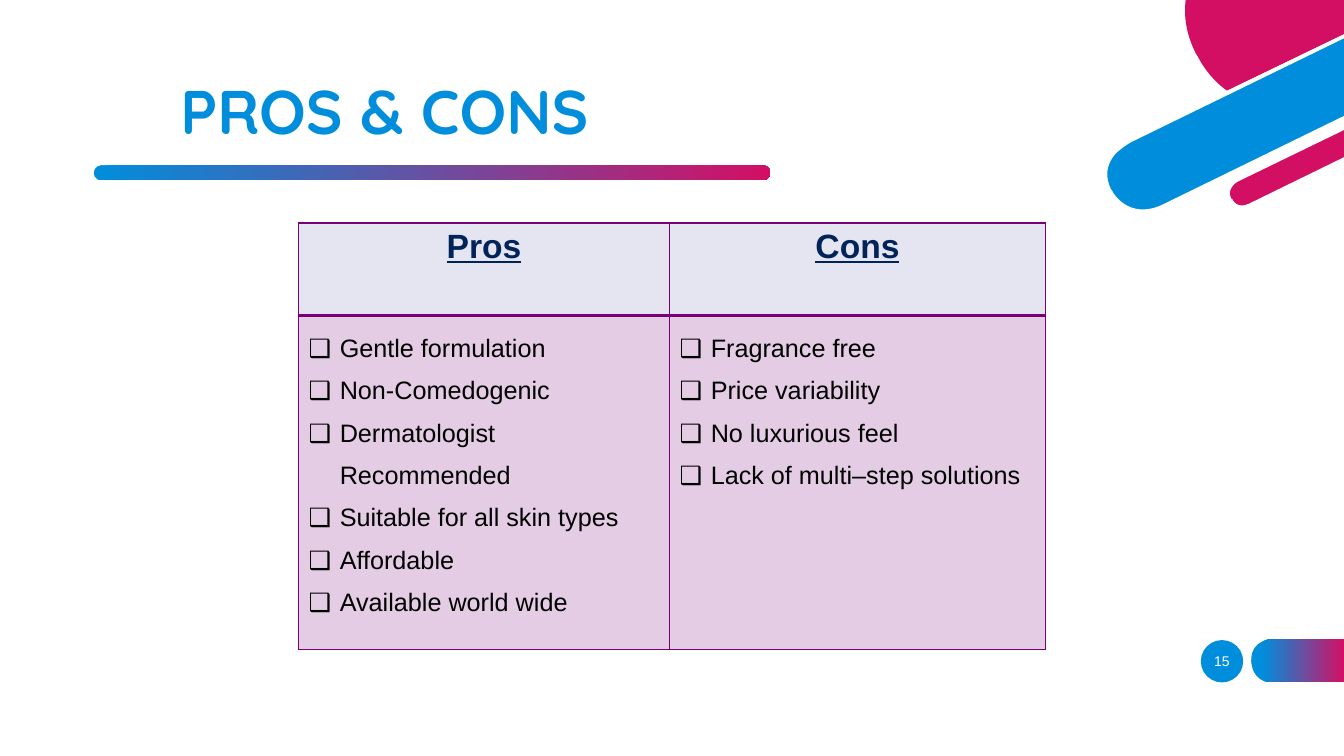
from dataclasses import dataclass
from typing import Optional

from lxml import etree
from pptx import Presentation
from pptx import util as u
from pptx.dml.color import RGBColor
from pptx.enum import shapes as kinds, text as t
from pptx.oxml import ns

# The slide is a grid of 1333 columns by 750 rows, one hundredth of an inch each
COLUMNS, ROWS = 1333, 750
CELL = u.Inches(0.01)


@dataclass(frozen=True)
class Theme:
    blue: str = "008EDC"
    pink: str = "D30F64"
    white: str = "FFFFFF"
    black: str = "000000"
    navy: str = "00245A"
    purple: str = "7A0078"
    header_fill: str = "E5E4F1"
    body_alpha: int = 20
    title_font: str = "Quicksand"
    body_font: str = "Arial"
    title_size: int = 44
    header_size: int = 24
    body_size: int = 18
    page_size: int = 10


THEME = Theme()


@dataclass(frozen=True)
class Area:
    column: float
    row: float
    columns: float
    rows: float

    def emu(self) -> list[int]:
        return [round(n * CELL) for n in (self.column, self.row, self.columns, self.rows)]


@dataclass(frozen=True)
class Outline:
    """Grid points: M starts, L draws lines, C draws Bezier curves."""
    route: str
    color: Optional[str] = None  # None means the blue to pink gradient
    gradient_start: float = 0


@dataclass(frozen=True)
class Style:
    font: str
    size: int
    color: Optional[str]
    bold: bool = False
    underline: bool = False
    align: t.PP_ALIGN = t.PP_ALIGN.LEFT
    spacing: float = 1.0
    bullet: str = ""


@dataclass(frozen=True)
class Column:
    heading: str
    points: tuple[str, ...]
    width: float


TITLE = Style(THEME.title_font, THEME.title_size, None, bold=True, spacing=0.9)
PAGE_NUMBER = Style(THEME.body_font, THEME.page_size, THEME.white, align=t.PP_ALIGN.CENTER)
HEADING = Style(THEME.body_font, THEME.header_size, THEME.navy, True, True, t.PP_ALIGN.CENTER)
POINT = Style(THEME.body_font, THEME.body_size, THEME.black, spacing=1.5, bullet="❑")

PAGE_TAB = Outline("M 1262 677 L 1333 677 L 1333 634 L 1262 634 C 1262 634 1241 634 1241 655 "
                   "L 1241 656 C 1241 656 1241 677 1262 677", gradient_start=0.12)

CORNER = (
    # Rim of the disc, wide bar, disc, narrow bar, then the rims of both bars
    Outline("M 1333 81 L 1306 94 C 1274 110 1244 108 1219 89 C 1199 74 1189 55 1189 55 "
            "L 1188 52 C 1179 34 1175 16 1178 0 L 1174 0 C 1171 17 1175 35 1184 54 "
            "L 1186 57 C 1186 58 1196 77 1216 92 C 1228 101 1244 109 1265 109 "
            "C 1277 109 1291 106 1308 98 L 1333 86", THEME.white),
    Outline("M 1121 139 C 1121 139 1085 157 1101 189 L 1101 190 "
            "C 1101 190 1117 222 1154 204 L 1333 117 L 1333 36", THEME.blue),
    Outline("M 1188 56 C 1188 56 1197 76 1217 90 L 1333 34 L 1333 0 L 1176 0 "
            "C 1174 15 1176 33 1186 53", THEME.pink),
    Outline("M 1333 126 L 1227 178 C 1227 178 1213 185 1220 197 L 1220 198 "
            "C 1220 198 1226 211 1240 204 L 1333 158", THEME.pink),
    Outline("M 1239 202 C 1227 208 1222 198 1222 197 L 1221 197 C 1216 186 1228 180 1228 180 "
            "L 1333 129 L 1333 124 L 1226 176 C 1226 176 1219 180 1217 187 "
            "C 1215 191 1216 195 1218 199 C 1220 203 1225 208 1232 208 "
            "C 1235 208 1238 208 1241 206 L 1333 161 L 1333 156", THEME.white),
    Outline("M 1153 203 C 1119 219 1103 190 1103 189 L 1102 188 C 1096 175 1097 164 1106 153 "
            "C 1113 146 1122 141 1122 141 L 1333 38 L 1333 34 L 1120 137 "
            "C 1119 138 1102 146 1096 163 C 1093 171 1094 180 1099 190 L 1099 191 "
            "C 1099 191 1110 212 1133 212 C 1139 212 1146 210 1154 206 "
            "L 1333 119 L 1333 115", THEME.white),
)

TABLE_AREA = Area(296, 221.2, 741, 423)
HEADER_ROWS = 92
COMPARISON = (
    Column("Pros", ("Gentle formulation", "Non-Comedogenic", "Dermatologist Recommended",
                    "Suitable for all skin types", "Affordable", "Available world wide"), 368),
    Column("Cons", ("Fragrance free", "Price variability", "No luxurious feel",
                    "Lack of multi–step solutions"), 373),
)


def paint(fill, color: Optional[str], gradient_start: float = 0) -> None:
    if color:
        fill.solid()
        fill.fore_color.rgb = RGBColor.from_string(color)
        return
    fill.gradient()
    fill.gradient_angle = 0
    for stop, shade, place in zip(fill.gradient_stops, (THEME.blue, THEME.pink),
                                  (gradient_start, 1)):
        stop.color.rgb = RGBColor.from_string(shade)
        stop.position = place


def finish(shape, color: Optional[str], gradient_start: float = 0) -> None:
    shape.shadow.inherit = False
    shape.line.fill.background()
    paint(shape.fill, color, gradient_start)


def draw_outline(page, outline: Outline) -> None:
    words = outline.route.split()
    commands = [word for word in words if word.isalpha()]
    numbers = [round(float(word) * CELL) for word in words if not word.isalpha()]
    start, *rest = zip(numbers[::2], numbers[1::2])
    builder = page.shapes.build_freeform(*start)
    builder.add_line_segments(rest, close=True)
    shape = builder.convert_to_shape()
    # Join the three points of each curve into one Bezier segment
    segments = iter(list(shape._element.iter(ns.qn("a:lnTo"))))
    for command in commands[1:]:
        segment = next(segments)
        if command == "C":
            segment.tag = ns.qn("a:cubicBezTo")
            for _ in range(2):
                extra = next(segments)
                segment.append(extra[0])
                extra.getparent().remove(extra)
    finish(shape, outline.color, outline.gradient_start)


def write(frame, lines: tuple[str, ...], style: Style) -> None:
    frame.word_wrap = True
    for index, line in enumerate(lines):
        para = frame.paragraphs[0] if index == 0 else frame.add_paragraph()
        para.text = line
        para.alignment = style.align
        para.line_spacing = style.spacing
        if style.bullet:
            props = para._p.get_or_add_pPr()
            props.set("marL", str(u.Inches(0.31)))
            props.set("indent", str(-u.Inches(0.31)))
            etree.SubElement(props, ns.qn("a:buFont"), typeface=style.font)
            etree.SubElement(props, ns.qn("a:buChar"), char=style.bullet)
        font = para.font
        font.name, font.size = style.font, u.Pt(style.size)
        font.bold, font.underline = style.bold, style.underline
        paint(font.fill, style.color)


def draw_text(page, area: Area, line: str, style: Style) -> None:
    frame = page.shapes.add_textbox(*area.emu()).text_frame
    frame.vertical_anchor = t.MSO_ANCHOR.MIDDLE
    write(frame, (line,), style)


def dress_cell(cell, color: str, bottom: float, alpha: int = 100) -> None:
    props = cell._tc.get_or_add_tcPr()
    for side, width in (("L", 1), ("R", 1), ("T", 1), ("B", bottom)):
        line = etree.SubElement(props, ns.qn(f"a:ln{side}"), w=str(u.Pt(width)))
        fill = etree.SubElement(line, ns.qn("a:solidFill"))
        etree.SubElement(fill, ns.qn("a:srgbClr"), val=THEME.purple)
    paint(cell.fill, color)
    if alpha < 100:
        shade = props.find(ns.qn("a:solidFill")).find(ns.qn("a:srgbClr"))
        etree.SubElement(shade, ns.qn("a:alpha"), val=str(alpha * 1000))


def draw_table(page) -> None:
    table = page.shapes.add_table(2, len(COMPARISON), *TABLE_AREA.emu()).table
    table.first_row = table.horz_banding = False
    for row, height in zip(table.rows, (HEADER_ROWS, TABLE_AREA.rows - HEADER_ROWS)):
        row.height = u.Emu(height * CELL)
    for index, column in enumerate(COMPARISON):
        table.columns[index].width = u.Emu(column.width * CELL)
        header, body = table.cell(0, index), table.cell(1, index)
        dress_cell(header, THEME.header_fill, bottom=2)
        dress_cell(body, THEME.purple, bottom=1, alpha=THEME.body_alpha)
        write(header.text_frame, (column.heading,), HEADING)
        write(body.text_frame, column.points, POINT)


def main() -> None:
    deck = Presentation()
    deck.slide_width, deck.slide_height = u.Emu(COLUMNS * CELL), u.Emu(ROWS * CELL)
    page = deck.slides.add_slide(deck.slide_layouts[6])
    # Decoration
    disc = page.shapes.add_shape(kinds.MSO_SHAPE.OVAL, *Area(1191, 635, 42, 42).emu())
    finish(disc, THEME.blue)
    for outline in (PAGE_TAB, *CORNER):
        draw_outline(page, outline)
    rule = page.shapes.add_shape(kinds.MSO_SHAPE.ROUNDED_RECTANGLE, *Area(93, 164, 671, 15).emu())
    rule.adjustments[0] = 0.5
    finish(rule, None)
    # Content
    draw_text(page, Area(1182, 636, 60, 40), "15", PAGE_NUMBER)
    draw_text(page, Area(169, 62, 577, 103), "PROS & CONS", TITLE)
    draw_table(page)
    deck.save("out.pptx")


if __name__ == "__main__":
    main()
